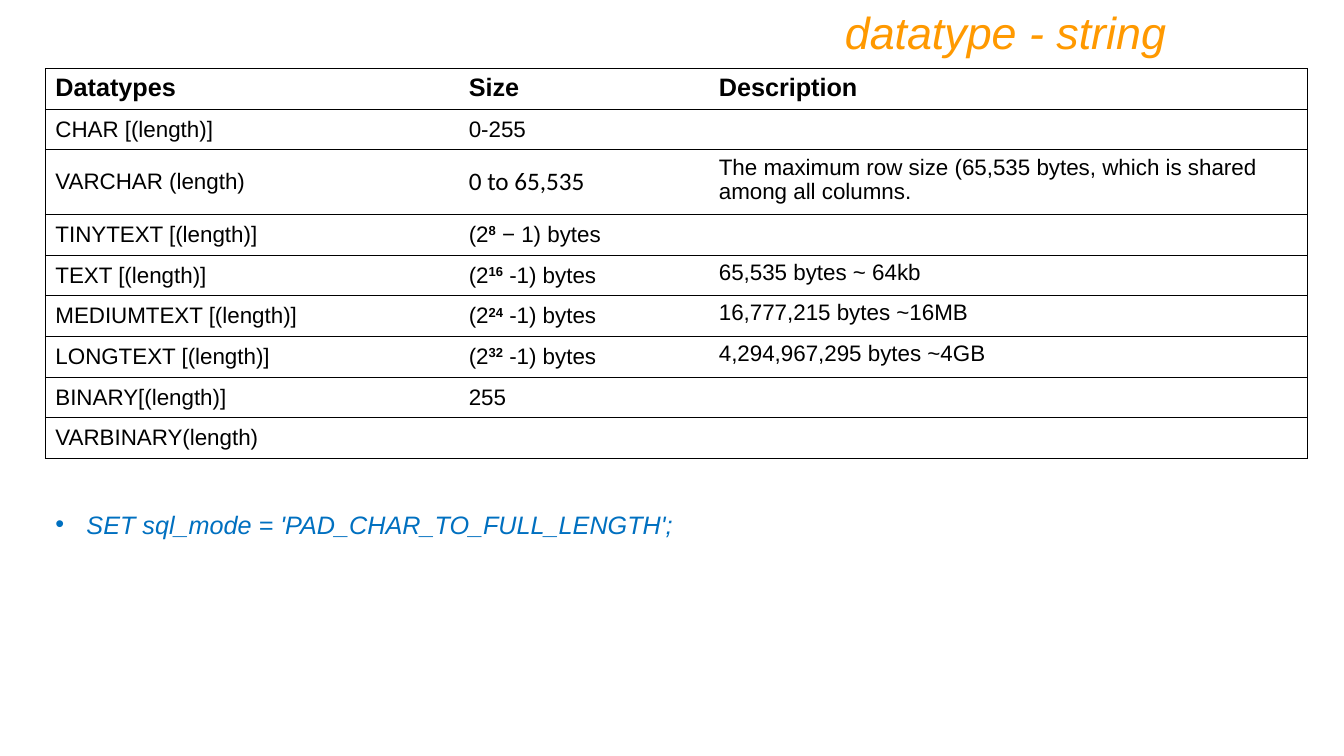
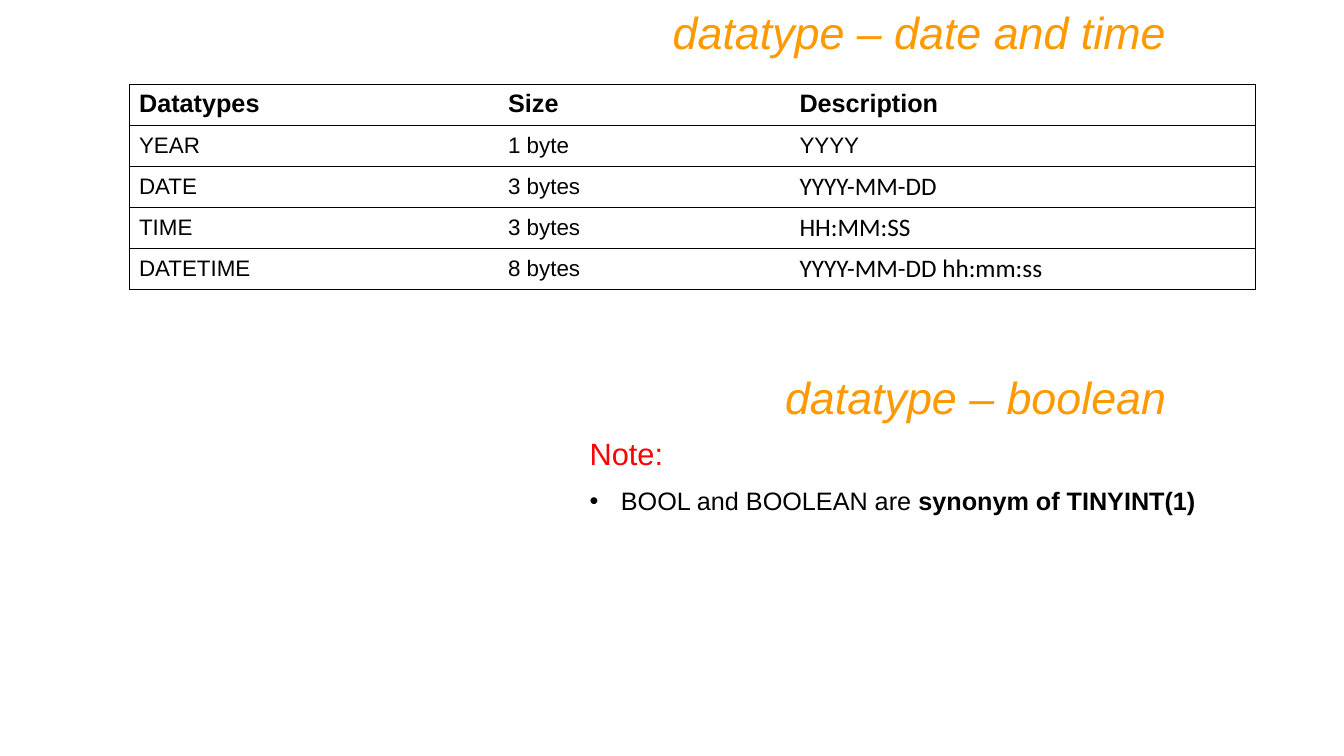
"""Build two slides on SQL string, date, time and boolean datatypes."""
import dataclasses
import typing

import pptx
import pptx.dml.color
import pptx.enum.text
import pptx.oxml
import pptx.oxml.ns
import pptx.presentation
import pptx.shapes.base
import pptx.slide
import pptx.text.text
import pptx.util

Inches = pptx.util.Inches
Pt = pptx.util.Pt
Anchor = pptx.enum.text.MSO_ANCHOR
Align = pptx.enum.text.PP_ALIGN

COLORS = {
    "title": "FF9900",
    "text": "000000",
    "code": "0070C0",
    "note": "FF0000",
    "border": "000000",
    "cell": "FFFFFF",
}
BASE = {"name": "Arial", "size": Pt(16), "bold": False, "italic": False, "color": "text"}
TITLE = BASE | {"size": Pt(32), "italic": True, "color": "title"}
HEADER = BASE | {"size": Pt(18), "bold": True}
FORMAT = BASE | {"name": "Calibri", "size": Pt(18)}
CODE = BASE | {"size": Pt(18), "italic": True, "color": "code"}
NOTE = BASE | {"size": Pt(22), "color": "note"}
POINT = BASE | {"size": Pt(18)}
INDENT = Inches(0.31)
BORDER_WIDTH = Pt(0.75)
HEADINGS = ("Datatypes", "Size", "Description")


@dataclasses.dataclass(frozen=True)
class Span:
    text: str
    style: dict[str, typing.Any]
    superscript: bool = False


@dataclasses.dataclass(frozen=True)
class Paragraph:
    spans: tuple[Span, ...]
    bullet: bool = False
    layout: dict[str, typing.Any] = dataclasses.field(default_factory=dict)


@dataclasses.dataclass(frozen=True)
class Box:
    left: float
    top: float
    width: float
    height: float

    def lengths(self) -> tuple[int, ...]:
        return tuple(Inches(value) for value in dataclasses.astuple(self))


@dataclasses.dataclass(frozen=True)
class DatatypeTable:
    box: Box
    column_widths: tuple[float, ...]
    rows: tuple[tuple[str | tuple[Span, ...], ...], ...]
    tall_rows: dict[int, float] = dataclasses.field(default_factory=dict)
    top_columns: tuple[int, ...] = ()


def power_size(exponent: int, ending: str = " -1) bytes") -> tuple[Span, ...]:
    return (
        Span("(2", BASE),
        Span(str(exponent), BASE | {"bold": True}, superscript=True),
        Span(ending, BASE),
    )


def date_format(text: str) -> tuple[Span, ...]:
    return (Span(text, FORMAT),)


TITLE_BOX = Box(1.67, 0, 10, 0.64)
BOOLEAN_TITLE_BOX = dataclasses.replace(TITLE_BOX, top=3.62)
STRING_TABLE = DatatypeTable(
    Box(0.45, 0.68, 12.52, 3.87),
    (4.1, 2.48, 5.94),
    (
        ("CHAR [(length)]", "0-255", ""),
        (
            "VARCHAR (length)",
            date_format("0 to 65,535"),
            "The maximum row size (65,535 bytes, which is shared among all columns.",
        ),
        ("TINYTEXT [(length)]", power_size(8, " − 1) bytes"), ""),
        ("TEXT [(length)]", power_size(16), "65,535 bytes ~ 64kb"),
        ("MEDIUMTEXT [(length)]", power_size(24), "16,777,215 bytes ~16MB"),
        ("LONGTEXT [(length)]", power_size(32), "4,294,967,295 bytes ~4GB"),
        ("BINARY[(length)]", "255", ""),
        ("VARBINARY(length)", "", ""),
    ),
    tall_rows={2: 0.64},
    top_columns=(2,),
)
DATE_TABLE = DatatypeTable(
    Box(1.28, 0.84, 11.17, 2.03),
    (3.66, 2.89, 4.62),
    (
        ("YEAR", "1 byte", "YYYY"),
        ("DATE", "3 bytes", date_format("YYYY-MM-DD")),
        ("TIME", "3 bytes", date_format("HH:MM:SS")),
        ("DATETIME", "8 bytes", date_format("YYYY-MM-DD hh:mm:ss")),
    ),
)
SQL_MODE = (
    Paragraph(
        (Span("SET sql_mode = 'PAD_CHAR_TO_FULL_LENGTH';", CODE),),
        bullet=True,
        layout={"line_spacing": 1.5},
    ),
)
BOOLEAN_NOTE = (
    Paragraph((Span("Note:", NOTE),)),
    Paragraph(
        (
            Span("BOOL and BOOLEAN are ", POINT),
            Span("synonym of TINYINT(1)", POINT | {"bold": True}),
        ),
        bullet=True,
        layout={"space_before": Pt(10)},
    ),
)


def color_of(name: str) -> pptx.dml.color.RGBColor:
    return pptx.dml.color.RGBColor.from_string(COLORS[name])


def add_spans(paragraph: pptx.text.text._Paragraph, spans: tuple[Span, ...]) -> None:
    for span in spans:
        run = paragraph.add_run()
        run.text = span.text
        for name, value in span.style.items():
            if name == "color":
                run.font.color.rgb = color_of(value)
            else:
                setattr(run.font, name, value)
        if span.superscript:
            run._r.get_or_add_rPr().set("baseline", "30000")


def add_bullet(paragraph: pptx.text.text._Paragraph) -> None:
    properties = paragraph._p.get_or_add_pPr()
    properties.set("marL", str(INDENT))
    properties.set("indent", str(-INDENT))
    namespace = pptx.oxml.ns.nsdecls("a")
    for tag in (f'<a:buFont {namespace} typeface="Arial"/>', f'<a:buChar {namespace} char="•"/>'):
        properties.append(pptx.oxml.parse_xml(tag))


def fill_text(shape: pptx.shapes.base.BaseShape, paragraphs: tuple[Paragraph, ...]) -> None:
    frame = shape.text_frame
    settings = {
        "word_wrap": True,
        "auto_size": pptx.enum.text.MSO_AUTO_SIZE.SHAPE_TO_FIT_TEXT,
        "vertical_anchor": Anchor.TOP,
    }
    for name, value in settings.items():
        setattr(frame, name, value)
    for index, item in enumerate(paragraphs):
        paragraph = frame.add_paragraph() if index else frame.paragraphs[0]
        if item.bullet:
            add_bullet(paragraph)
        for name, value in item.layout.items():
            setattr(paragraph, name, value)
        add_spans(paragraph, item.spans)


def add_text(slide: pptx.slide.Slide, box: Box, paragraphs: tuple[Paragraph, ...]) -> None:
    fill_text(slide.shapes.add_textbox(*box.lengths()), paragraphs)


def title_paragraphs(text: str) -> tuple[Paragraph, ...]:
    return (Paragraph((Span(text, TITLE),), layout={"alignment": Align.RIGHT}),)


def add_titled_slide(presentation: pptx.presentation.Presentation, title: str) -> pptx.slide.Slide:
    slide = presentation.slides.add_slide(presentation.slide_layouts.get_by_name("Title Only"))
    shape = slide.shapes.title
    for name, value in zip(("left", "top", "width", "height"), TITLE_BOX.lengths()):
        setattr(shape, name, value)
    fill_text(shape, title_paragraphs(title))
    return slide


def set_borders(cell: typing.Any, left: bool, right: bool) -> None:
    properties = cell._tc.get_or_add_tcPr()
    namespace = pptx.oxml.ns.nsdecls("a")
    for side, visible in {"L": left, "R": right, "T": True, "B": True}.items():
        paint = (
            f'<a:solidFill><a:srgbClr val="{COLORS["border"]}"/></a:solidFill>'
            if visible
            else "<a:noFill/>"
        )
        properties.append(
            pptx.oxml.parse_xml(f'<a:ln{side} {namespace} w="{BORDER_WIDTH}">{paint}</a:ln{side}>')
        )


def add_datatype_table(slide: pptx.slide.Slide, content: DatatypeTable) -> None:
    rows = (HEADINGS, *content.rows)
    last_column = len(HEADINGS) - 1
    table = slide.shapes.add_table(len(rows), len(HEADINGS), *content.box.lengths()).table
    for name in ("first_row", "horz_banding"):
        setattr(table, name, False)
    for column, width in zip(table.columns, content.column_widths):
        column.width = Inches(width)
    free_height = content.box.height - sum(content.tall_rows.values())
    regular_height = free_height / (len(rows) - len(content.tall_rows))
    for row_index, values in enumerate(rows):
        height = content.tall_rows.get(row_index, regular_height)
        table.rows[row_index].height = Inches(height)
        for column_index, value in enumerate(values):
            cell = table.cell(row_index, column_index)
            at_top = row_index == 0 or column_index in content.top_columns
            cell.vertical_anchor = Anchor.TOP if at_top else Anchor.MIDDLE
            set_borders(cell, column_index == 0, column_index == last_column)
            cell.fill.solid()
            cell.fill.fore_color.rgb = color_of("cell")
            if isinstance(value, str):
                value = (Span(value, BASE if row_index else HEADER),) if value else ()
            add_spans(cell.text_frame.paragraphs[0], value)


def main() -> None:
    presentation = pptx.Presentation()
    presentation.slide_width = Inches(13.33)
    presentation.slide_height = Inches(7.5)

    string_slide = add_titled_slide(presentation, "datatype - string")
    add_datatype_table(string_slide, STRING_TABLE)
    add_text(string_slide, Box(0.45, 4.85, 6.66, 0.5), SQL_MODE)

    date_slide = add_titled_slide(presentation, "datatype – date and time")
    add_datatype_table(date_slide, DATE_TABLE)
    add_text(date_slide, BOOLEAN_TITLE_BOX, title_paragraphs("datatype – boolean"))
    add_text(date_slide, Box(5.75, 4.26, 6.69, 0.94), BOOLEAN_NOTE)

    presentation.save("out.pptx")


if __name__ == "__main__":
    main()
